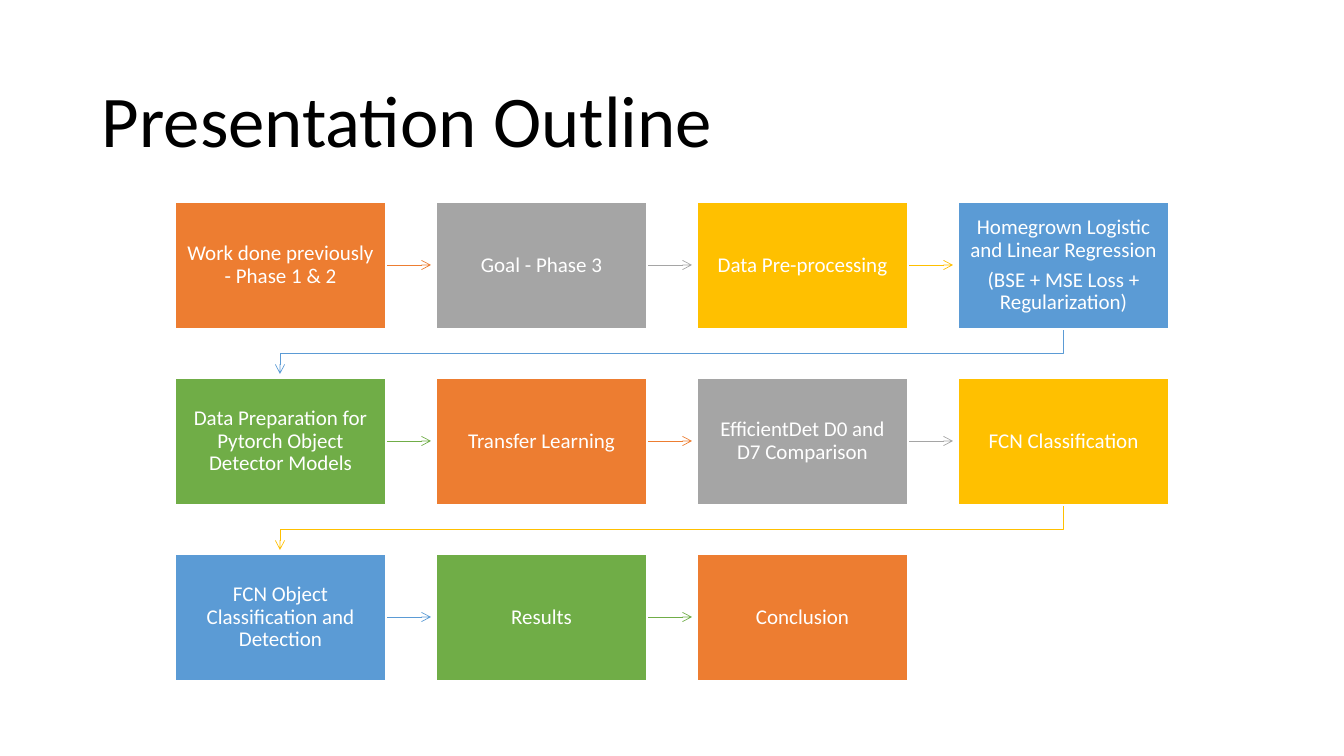
"""Build the presentation outline slide: a snaking flow of eleven topic boxes."""
from dataclasses import dataclass

from lxml import etree
from pptx import Presentation
from pptx import util as u
from pptx.dml import color as dml
from pptx.enum import shapes, text
from pptx.oxml import ns

EMU_PER_PX = 914400 / 100.8
SLIDE_W, SLIDE_H = 1344, 756
COLUMNS = 4
GRID_LEFT, GRID_TOP = 175, 202
PITCH_X, PITCH_Y = 261, 176
BOX_W, BOX_H = 211, 127
ARROW_LENGTH, BEND = 45, 24
FONT = "Calibri"
BLACK, WHITE = "000000", "FFFFFF"
TOPIC_COLOURS = ["ED7D31", "A5A5A5", "FFC000", "5B9BD5", "70AD47"]

TOPICS = [
    ["Work done previously - Phase 1 & 2"],
    ["Goal - Phase 3"],
    ["Data Pre-processing"],
    ["Homegrown Logistic and Linear Regression", "(BSE + MSE Loss + Regularization)"],
    ["Data Preparation for Pytorch Object Detector Models"],
    ["Transfer Learning"],
    ["EfficientDet D0 and D7 Comparison"],
    ["FCN Classification"],
    ["FCN Object Classification and Detection"],
    ["Results"],
    ["Conclusion"],
]


@dataclass(frozen=True)
class Topic:
    """One box of the flow."""
    lines: list[str]
    colour: str
    column: int
    row: int

    @property
    def left(self) -> int:
        """Return the left edge in px."""
        return GRID_LEFT + self.column * PITCH_X

    @property
    def top(self) -> int:
        """Return the top edge in px."""
        return GRID_TOP + self.row * PITCH_Y


def px(length: int) -> u.Emu:
    """Turn px into EMU."""
    return u.Emu(round(length * EMU_PER_PX))


def rgb(value: str) -> dml.RGBColor:
    """Turn a hex string into a colour."""
    return dml.RGBColor.from_string(value)


def write(shape, lines: list[str], size: int, colour: str, frame_format: dict,
          paragraph_format: dict) -> None:
    """Fill a shape with formatted paragraphs."""
    frame = shape.text_frame
    for name, value in frame_format.items():
        setattr(frame, name, value)
    frame.text = "\n".join(lines)
    for paragraph in frame.paragraphs:
        for name, value in paragraph_format.items():
            setattr(paragraph, name, value)
        font = paragraph.runs[0].font
        for name, value in {"name": FONT, "size": u.Pt(size)}.items():
            setattr(font, name, value)
        font.color.rgb = rgb(colour)


def draw_title(slide) -> None:
    """Draw the slide heading."""
    heading = slide.shapes.add_textbox(px(92), px(61), px(1159), px(125))
    write(heading, ["Presentation Outline"], 52, BLACK,
          {"word_wrap": True, "vertical_anchor": text.MSO_ANCHOR.MIDDLE},
          {"line_spacing": 0.9})


def draw_box(slide, topic: Topic) -> None:
    """Draw a topic box with its wording."""
    box = slide.shapes.add_shape(shapes.MSO_SHAPE.RECTANGLE, px(topic.left),
                                 px(topic.top), px(BOX_W), px(BOX_H))
    box.shadow.inherit = False
    box.fill.solid()
    box.fill.fore_color.rgb = rgb(topic.colour)
    box.line.color.rgb = rgb(WHITE)
    box.line.width = u.Pt(1)
    write(box, topic.lines, 15, WHITE,
          {"word_wrap": True, "vertical_anchor": text.MSO_ANCHOR.MIDDLE,
           "margin_left": px(10), "margin_right": px(10),
           "margin_top": px(11), "margin_bottom": px(11)},
          {"alignment": text.PP_ALIGN.CENTER, "line_spacing": 0.9,
           "space_after": u.Pt(5.25)})


def draw_step(slide, topic: Topic):
    """Draw the straight line to the next topic in the row."""
    start, middle = topic.left + BOX_W, topic.top + BOX_H // 2
    step = slide.shapes.add_connector(
        shapes.MSO_CONNECTOR.STRAIGHT, px(start), px(middle),
        px(start + ARROW_LENGTH), px(middle))
    step.line.color.rgb = rgb(topic.colour)
    etree.SubElement(step.element.spPr, ns.qn("a:effectLst"))
    return step


def draw_return(slide, topic: Topic):
    """Draw the bent line from a row's end to the next row's start."""
    start_x, end_x = topic.left + BOX_W // 2, GRID_LEFT + BOX_W // 2
    bottom = topic.top + BOX_H
    outline = slide.shapes.build_freeform(start_x, bottom, scale=EMU_PER_PX)
    outline.add_line_segments(
        [(start_x, bottom + BEND), (end_x, bottom + BEND),
         (end_x, bottom + ARROW_LENGTH)], close=False)
    bend = outline.convert_to_shape()
    bend.shadow.inherit = False
    bend.fill.background()
    bend.line.color.rgb = rgb(topic.colour)
    return bend


def draw_arrow(slide, topic: Topic) -> None:
    """Draw the arrow leaving a topic."""
    draw = draw_return if topic.column == COLUMNS - 1 else draw_step
    arrow = draw(slide, topic)
    arrow.line.width = u.Pt(0.5)
    outline = arrow.element.spPr.find(ns.qn("a:ln"))
    etree.SubElement(outline, ns.qn("a:tailEnd"), type="arrow")


def main() -> None:
    """Build and save the slide."""
    deck = Presentation()
    deck.slide_width, deck.slide_height = px(SLIDE_W), px(SLIDE_H)
    slide = deck.slides.add_slide(deck.slide_layouts[6])
    draw_title(slide)
    for index, lines in enumerate(TOPICS):
        row, column = divmod(index, COLUMNS)
        topic = Topic(lines, TOPIC_COLOURS[index % len(TOPIC_COLOURS)], column, row)
        if index < len(TOPICS) - 1:
            draw_arrow(slide, topic)
        draw_box(slide, topic)
    deck.save("out.pptx")


if __name__ == "__main__":
    main()
